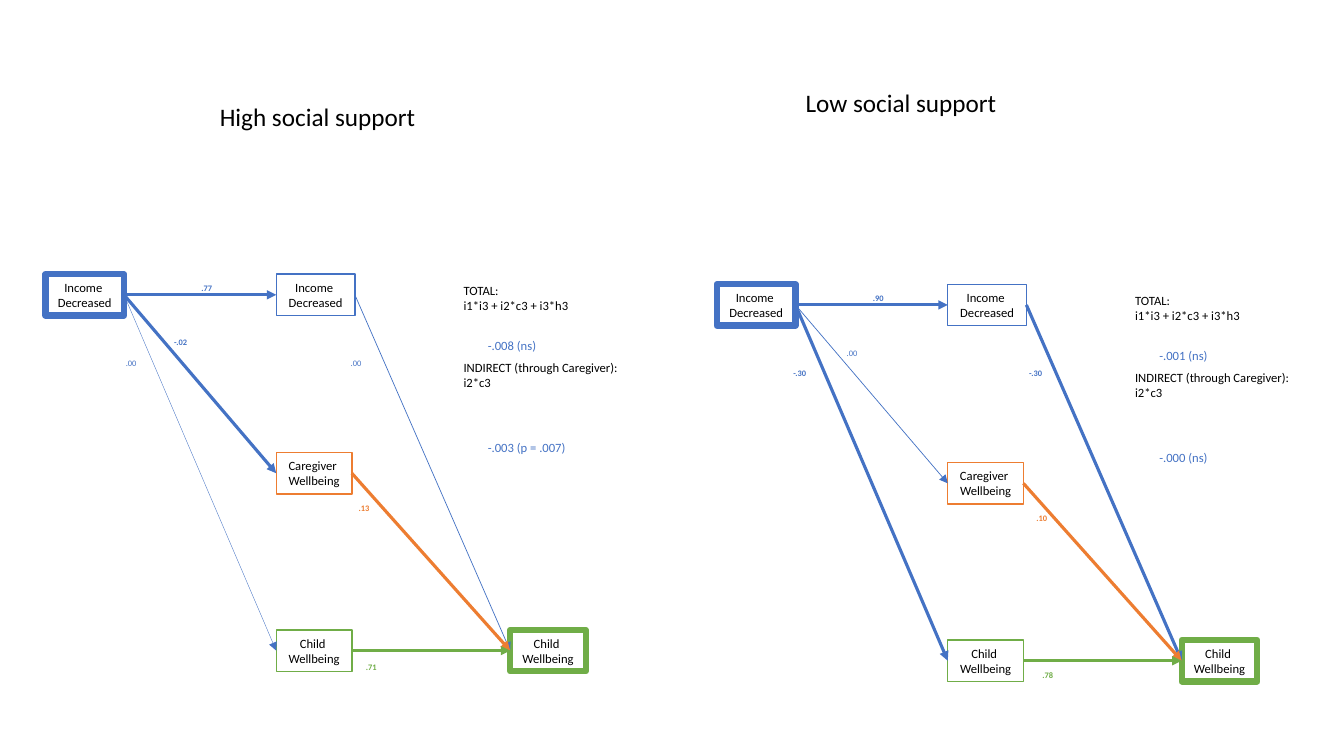
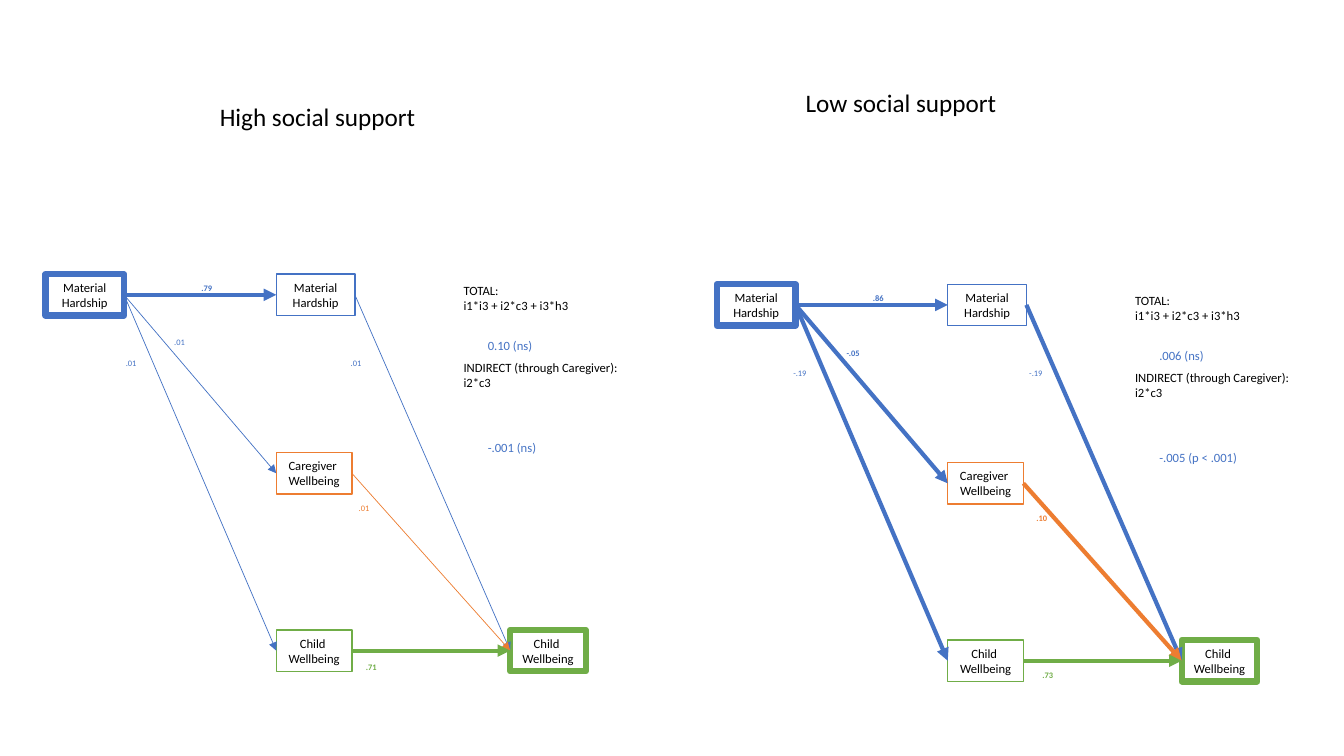
import lxml.etree
import pptx
import pptx.chart.data
import pptx.dml.color
import pptx.enum.shapes
import pptx.enum.text
import pptx.oxml.ns
import pptx.util

Inches, Pt = pptx.util.Inches, pptx.util.Pt
FONT = "Calibri"
BLUE, ORANGE, GREEN, BLACK, WHITE = "4472C4", "ED7D31", "70AD47", "000000", "FFFFFF"
THICK, THIN = 4.5, 1
COMPARISON_LAYOUT = 4

# Boxes, relative to the left panel: left, top, width, colour, border
BOX_H = 0.41
BOXES = {
    "start": (0.45, 2.72, 0.78, BLUE, THICK),
    "later": (2.74, 2.72, 0.78, BLUE, THIN),
    "caregiver": (2.74, 4.49, 0.75, ORANGE, THIN),
    "child": (2.74, 6.25, 0.75, GREEN, THIN),
    "end": (5.06, 6.25, 0.75, GREEN, THICK),
}
CAREGIVER, CHILD = ["Caregiver ", "Wellbeing"], ["Child ", "Wellbeing"]
ARROWS = [
    ("start", "later", BLUE),
    ("start", "caregiver", BLUE),
    ("start", "child", BLUE),
    ("later", "end", BLUE),
    ("caregiver", "end", ORANGE),
    ("child", "end", GREEN),
]
FORMULAS = ["TOTAL:", "i1*i3 + i2*c3 + i3*h3", "INDIRECT (through Caregiver):", "i2*c3"]
FORMULA_GAP = {2: 33}  # points above the second formula
RESULT_TOPS = [3.3, 4.31]

# Each panel: placeholder index, heading, heading box, offset, label corners by arrow
PANELS = [
    (1, "High social support", (2.08, 0.96, 2.16, 0.4), (0, 0),
     [(1.9, 2.76), (1.63, 3.3), (1.15, 3.5), (3.38, 3.5), (3.46, 4.94), (3.53, 6.52)]),
    (3, "Low social support", (7.89, 0.82, 2.12, 0.4), (6.66, 0.1),
     [(8.56, 2.86), (8.3, 3.4), (7.77, 3.6), (10.11, 3.6), (10.18, 5.04), (10.24, 6.6)]),
]

# Each slide: predictor, then per panel the arrows (value, line width, bold) and results
SLIDES = [
    (["Income ", "Decreased"], [
        ([(".77", 2.25, True), ("-.02", 2.25, True), (".00", 0.25, False),
          (".00", 0.5, False), (".13", 2.25, True), (".71", 2.25, True)],
         ["-.008 (ns)", "-.003 (p = .007)"]),
        ([(".90", 2.25, True), (".00", 0.5, False), ("-.30", 2.25, True),
          ("-.30", 2.25, True), (".10", 2.25, True), (".78", 2.25, True)],
         ["-.001 (ns)", "-.000 (ns)"]),
    ]),
    (["Material Hardship"], [
        ([(".79", 3, True), (".01", 0.5, False), (".01", 0.5, False),
          (".01", 0.5, False), (".01", 0.5, False), (".71", 3, True)],
         ["0.10 (ns)", "-.001 (ns)"]),
        ([(".86", 3, True), ("-.05", 3, True), ("-.19", 3, False),
          ("-.19", 3, False), (".10", 3, True), (".73", 3, True)],
         [".006 (ns)", "-.005 (p < .001)"]),
    ]),
]


def rgb(color):
    return pptx.dml.color.RGBColor.from_string(color)


def write(tf, lines, size, color=BLACK, bold=False, center=False, gaps=None):
    """Fill a text frame, one paragraph a line; gaps maps a line to its space before."""
    align = pptx.enum.text.PP_ALIGN
    for i, line in enumerate(lines):
        p = tf.paragraphs[0] if i == 0 else tf.add_paragraph()
        p.alignment = align.CENTER if center else align.LEFT
        p.space_before = Pt((gaps or {}).get(i, 0))
        r = p.add_run()
        r.text = line
        r.font.name, r.font.size, r.font.bold = FONT, Pt(size), bold
        r.font.color.rgb = rgb(color)


def add_text(s, x, y, w, h, lines, size, **style):
    tf = s.shapes.add_textbox(Inches(x), Inches(y), Inches(w), Inches(h)).text_frame
    tf.word_wrap = True
    write(tf, lines, size, **style)


def add_box(s, x, y, w, color, border, lines):
    sp = s.shapes.add_shape(pptx.enum.shapes.MSO_SHAPE.RECTANGLE,
                            Inches(x), Inches(y), Inches(w), Inches(BOX_H))
    sp.shadow.inherit = False
    sp.fill.solid()
    sp.fill.fore_color.rgb = rgb(WHITE)
    sp.line.color.rgb = rgb(color)
    sp.line.width = Pt(border)
    sp.text_frame.word_wrap = True
    sp.text_frame.vertical_anchor = pptx.enum.text.MSO_ANCHOR.MIDDLE
    write(sp.text_frame, lines, 9, center=True)
    return sp


def add_arrow(s, source, target, color, width):
    """Glue an arrow from the right side of source to the left side of target."""
    line = s.shapes.add_connector(pptx.enum.shapes.MSO_CONNECTOR.STRAIGHT, 0, 0, 0, 0)
    line.begin_connect(source, 3)
    line.end_connect(target, 1)
    line.line.color.rgb = rgb(color)
    line.line.width = Pt(width)
    qn = pptx.oxml.ns.qn
    lxml.etree.SubElement(line.line._get_or_add_ln(), qn("a:tailEnd"), type="triangle")
    lxml.etree.SubElement(line._element.spPr, qn("a:effectLst"))


def set_heading(placeholder, text, place):
    placeholder.left, placeholder.top, placeholder.width, placeholder.height = map(Inches, place)
    tf = placeholder.text_frame
    tf.word_wrap = False
    tf.auto_size = pptx.enum.text.MSO_AUTO_SIZE.NONE
    tf.vertical_anchor = pptx.enum.text.MSO_ANCHOR.TOP
    write(tf, [text], 18)


def add_panel(s, predictor, panel, arrows, results):
    idx, heading, place, (dx, dy), corners = panel
    names = {"start": predictor, "later": predictor, "caregiver": CAREGIVER,
             "child": CHILD, "end": CHILD}
    boxes = {key: add_box(s, x + dx, y + dy, w, color, border, names[key])
             for key, (x, y, w, color, border) in BOXES.items()}
    for (source, target, color), (_, width, _) in zip(ARROWS, arrows):
        add_arrow(s, boxes[source], boxes[target], color, width)
    for (_, _, color), (value, _, bold), (x, y) in zip(ARROWS, arrows, corners):
        add_text(s, x, y, 0.37, 0.2, [value], 6, color=color, bold=bold)
    add_text(s, 4.5 + dx, 2.76 + dy, 2, 1.16, FORMULAS, 9, gaps=FORMULA_GAP)
    for y, result in zip(RESULT_TOPS, results):
        add_text(s, 4.74 + dx, y + dy, 1.07, 0.25, [result], 9, color=BLUE)
    set_heading(s.placeholders[idx], heading, place)


def main():
    prs = pptx.Presentation()
    prs.slide_width, prs.slide_height = Inches(13.33), Inches(7.5)
    for predictor, panels in SLIDES:
        s = prs.slides.add_slide(prs.slide_layouts[COMPARISON_LAYOUT])
        for panel, (arrows, results) in zip(PANELS, panels):
            add_panel(s, predictor, panel, arrows, results)
        for placeholder in list(s.placeholders):
            if not placeholder.text_frame.text:
                placeholder._element.getparent().remove(placeholder._element)
    prs.save("out.pptx")


if __name__ == "__main__":
    main()
